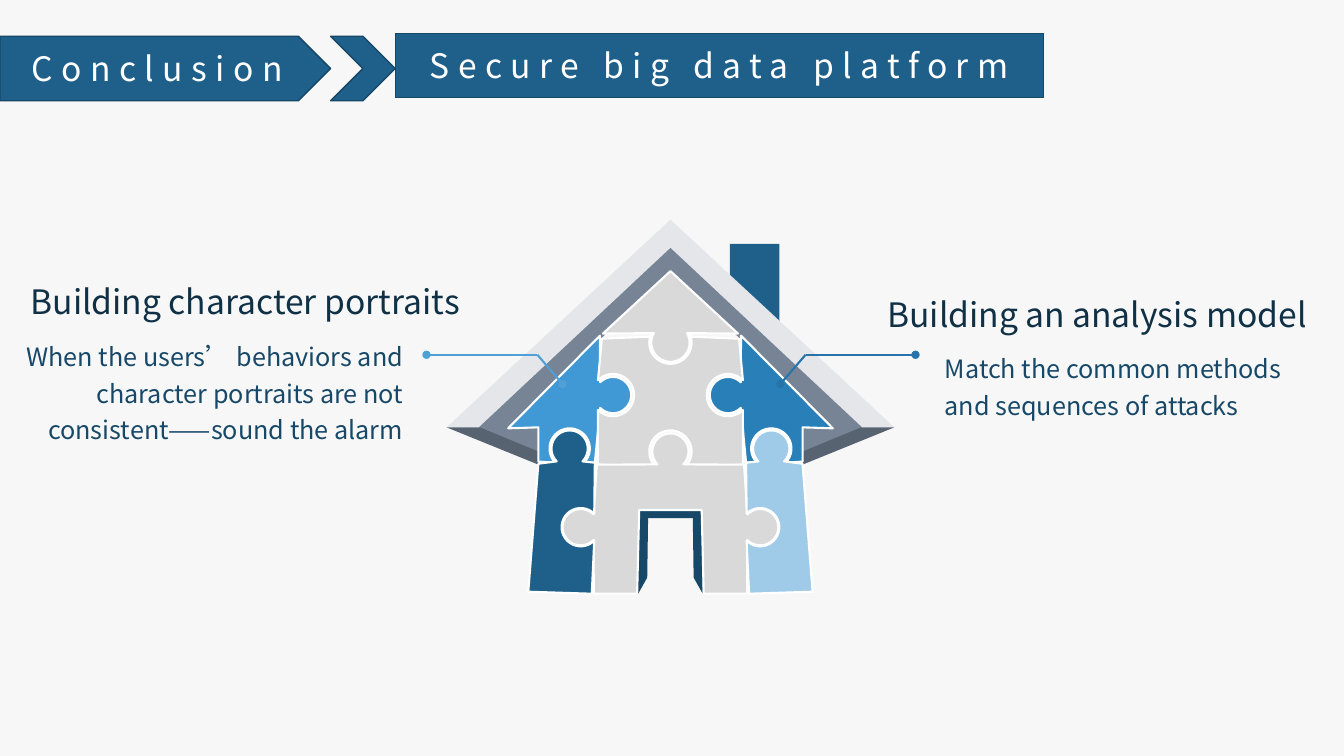
"""Build the conclusion slide with a puzzle house and two callouts."""
import math
import pptx
import pptx.util
import pptx.dml.color
import pptx.enum.shapes
import pptx.enum.text
import pptx.oxml.ns
import lxml.etree

UNIT = pptx.util.Inches(0.01)
WIDE, HIGH = 1333, 750
AXIS = 665
FONT = "Noto Sans CJK SC"
INK = {
    "back": "F7F7F7", "white": "FFFFFF", "navy": "1F608B", "edge": "174767",
    "head": "103046", "body": "174868", "eave": "586371", "roof": "E4E6EA",
    "trim": "778495", "gray": "D9D9D9", "blue": "2980B9", "sky": "4098D4",
    "pale": "9FCBE9", "deep": "2674A9", "soft": "4FA0D7",
}
SHAPE = pptx.enum.shapes.MSO_SHAPE
ALIGN = pptx.enum.text.PP_ALIGN
ANCHOR = pptx.enum.text.MSO_ANCHOR
FIT = pptx.enum.text.MSO_AUTO_SIZE

TITLE = ("Secure big data platform", (392, 33, 643, 64))
TAG = ("Conclusion", (0, 36, 328, 64))
ARROW = (328, 36, 64, 64)
BLOCKS = [("navy", (724, 242, 49, 80)), ("body", (634, 504, 64, 10))]

NOTES = [
    ("Building character portraits", (17, 279, 439, 40), "head", ALIGN.RIGHT),
    ("When the users’ behaviors and character portraits are not consistent——sound the alarm",
     (17, 333, 383, 106), "body", ALIGN.RIGHT),
    ("Building an analysis model", (880, 292, 429, 40), "head", ALIGN.LEFT),
    ("Match the common methods and sequences of attacks",
     (937, 345, 372, 70), "body", ALIGN.LEFT),
]
LEADS = [("deep", 774, 799, 908), ("soft", 558, 533, 423)]
LEVELS = (381, 352)

KNOBS = {
    "arm": (722, 392, 0, 45), "hip": (765, 445, 90, 45), "side": (754, 523, 180, 45),
    "top": (AXIS, 340, 270, 60), "mid": (AXIS, 448, 90, 45),
}
PAIRS = [
    ("eave", "eave", None, [(854, 424), (887, 424), (796, 461), (796, 448)]),
    ("body", "body", None, [(688, 573), (697, 589), (697, 500), (687, 502)]),
    ("blue", "sky", "white", [(735, 333), ("arm", -1, 18), (740, 459), ("hip", 1, 20),
                              (796, 458), (796, 424), (826, 425)]),
    ("pale", "navy", "white", [(806, 587), (796, 460), ("hip", -1, 18), (740, 459),
                               ("side", 1, 19), (743, 589)]),
]
WHOLES = [
    ("roof", None, [(AXIS, 218), (887, 424), (854, 424), (AXIS, 249)], [], []),
    ("trim", None, [(AXIS, 246), (855, 424), (795, 456), (796, 424), (826, 424),
                    (AXIS, 270)], [], []),
    ("gray", "white", [(685, 334), (733, 336), ("arm", -1, 21), (737, 461)],
     [("mid", -1, 21)], [("top", -1, 21)]),
    ("gray", "white", [(738, 461), ("side", 1, 18), (741, 589), (698, 589), (696, 506)],
     [], [("mid", 1, 18)]),
    ("gray", "white", [(AXIS, 269), (732, 331)], [("top", 1, 19)], []),
]


def rgb(name):
    return pptx.dml.color.RGBColor.from_string(INK[name])


def grid(box):
    return [round(n * UNIT) for n in box]


def node(top, tag, **attrs):
    return lxml.etree.SubElement(top, pptx.oxml.ns.qn(tag), attrs)


def paint(shape, fill, edge=None, width=1):
    shape.fill.solid()
    shape.fill.fore_color.rgb = rgb(fill)
    if edge:
        shape.line.color.rgb = rgb(edge)
        shape.line.width = pptx.util.Pt(width)
    else:
        shape.line.fill.background()


def write(shape, text, size, ink, align, gap=None):
    para = shape.text_frame.paragraphs[0]
    para.text = text
    para.alignment = align
    for run in para.runs:
        run.font.size = pptx.util.Pt(size)
        run.font.name = FONT
        run.font.color.rgb = rgb(ink)
        props = run.font._element
        node(props, "a:ea", typeface=FONT)
        if gap:
            props.set("spc", str(gap * 100))
    return para


def preset(slide, kind, box, fill, edge=None):
    shape = slide.shapes.add_shape(kind, *grid(box))
    shape.shadow.inherit = False
    paint(shape, fill, edge)
    return shape


def arc(name, turn, size):
    x, y, mouth, half = KNOBS[name]
    sweep = 360 - 2 * half
    angles = [math.radians(mouth + turn * (half + a)) for a in range(0, sweep + 1, 10)]
    return [(x + size * math.cos(a), y + size * math.sin(a)) for a in angles]


def trace(steps):
    spots = []
    for step in steps:
        spots += arc(*step) if isinstance(step[0], str) else [step]
    return spots


def flip(spots):
    return [(2 * AXIS - x, y) for x, y in reversed(spots)]


def piece(slide, spots, fill, edge):
    spots = [grid(spot) for spot in spots]
    pen = slide.shapes.build_freeform(*spots[0])
    pen.add_line_segments(spots[1:], close=True)
    shape = pen.convert_to_shape()
    shape.shadow.inherit = False
    paint(shape, fill, edge, 1.5)


def pair(slide, right, left, edge, steps):
    spots = trace(steps)
    piece(slide, spots, right, edge)
    piece(slide, flip(spots), left, edge)


def whole(slide, fill, edge, steps, low, high):
    half = trace(steps)
    piece(slide, half + trace(low) + flip(half) + trace(high), fill, edge)


def note(slide, text, box, ink, align):
    shape = slide.shapes.add_textbox(*grid(box))
    frame = shape.text_frame
    head = ink == "head"
    frame.margin_left = frame.margin_right = frame.margin_top = frame.margin_bottom = 0
    frame.word_wrap = not head
    frame.auto_size = FIT.SHAPE_TO_FIT_TEXT
    frame.vertical_anchor = ANCHOR.MIDDLE if head else ANCHOR.TOP
    para = write(shape, text, 24 if head else 18, ink, align)
    if not head:
        para.line_spacing = 1.2


def lead(slide, ink, ends, tip):
    line = slide.shapes.add_connector(pptx.enum.shapes.MSO_CONNECTOR.STRAIGHT, *grid(ends))
    line.line.color.rgb = rgb(ink)
    line.line.width = pptx.util.Pt(1.5)
    node(line.line._get_or_add_ln(), "a:" + tip, type="oval")
    node(line._element.spPr, "a:effectLst")


def main():
    deck = pptx.Presentation()
    deck.slide_width, deck.slide_height = grid((WIDE, HIGH))
    slide = deck.slides.add_slide(deck.slide_layouts[5])
    slide.background.fill.solid()
    slide.background.fill.fore_color.rgb = rgb("back")

    title = slide.shapes.title
    title.left, title.top, title.width, title.height = grid(TITLE[1])
    node(node(title._element.spPr, "a:prstGeom", prst="homePlate"), "a:avLst")
    paint(title, "navy", "edge")
    tag = preset(slide, SHAPE.PENTAGON, TAG[1], "navy", "edge")
    for shape, text in ((title, TITLE[0]), (tag, TAG[0])):
        shape.text_frame.word_wrap = True
        shape.text_frame.auto_size = FIT.NONE
        shape.text_frame.vertical_anchor = ANCHOR.MIDDLE
        write(shape, text, 24, "white", ALIGN.CENTER, 6)
    preset(slide, SHAPE.CHEVRON, ARROW, "navy", "edge")

    for fill, box in BLOCKS:
        preset(slide, SHAPE.RECTANGLE, box, fill)
    for item in WHOLES[:2]:
        whole(slide, *item)
    for item in PAIRS[:3]:
        pair(slide, *item)
    for item in WHOLES[2:]:
        whole(slide, *item)
    pair(slide, *PAIRS[3])
    low, high = LEVELS
    for ink, start, bend, end in LEADS:
        lead(slide, ink, (start, low, bend, high), "headEnd")
        lead(slide, ink, (bend, high, end, high), "tailEnd")
    for item in NOTES:
        note(slide, *item)
    deck.save("out.pptx")


if __name__ == "__main__":
    main()
